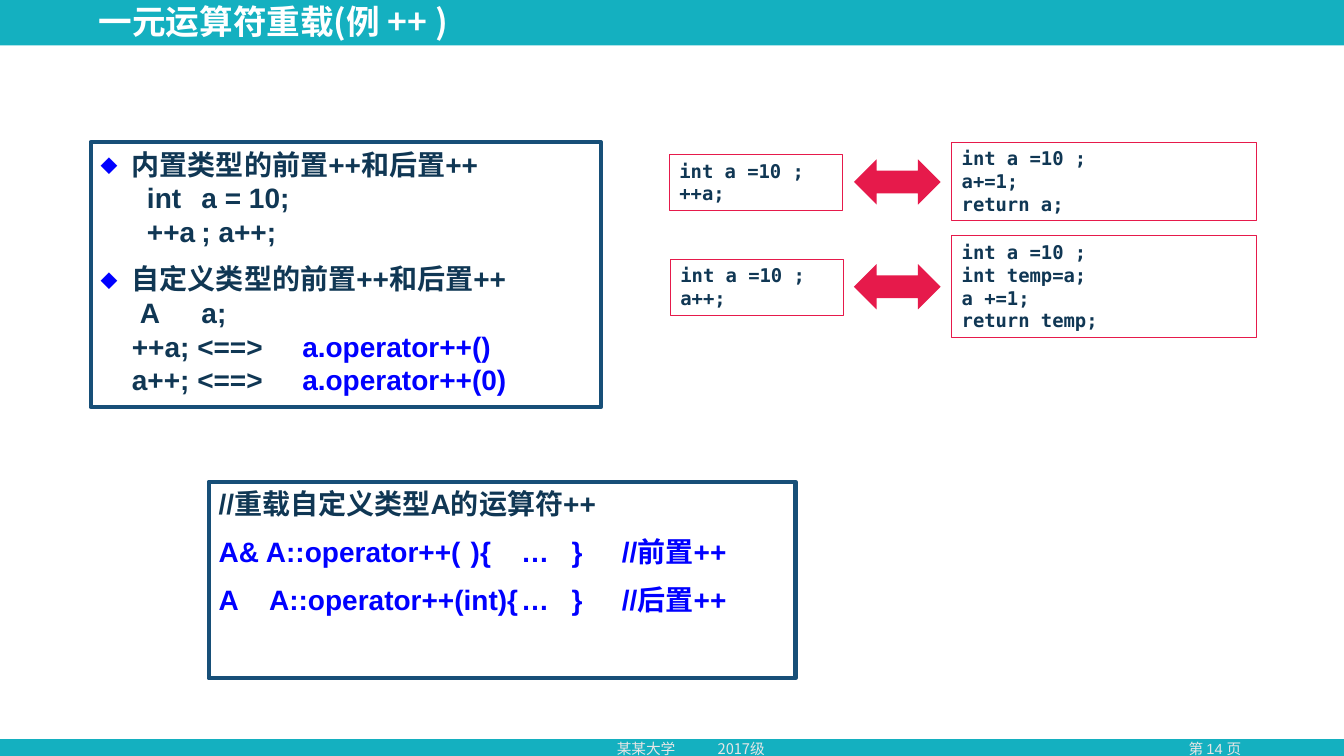
"""Build a slide on overloading the unary ++ operator."""
from lxml import etree
from pptx import Presentation
from pptx.dml.color import RGBColor
from pptx.enum.shapes import MSO_SHAPE
from pptx.enum.text import MSO_ANCHOR, PP_ALIGN
from pptx.oxml.ns import qn
from pptx.util import Inches, Pt

RECTANGLE, ARROW = MSO_SHAPE.RECTANGLE, MSO_SHAPE.LEFT_RIGHT_ARROW
TOP, MIDDLE = MSO_ANCHOR.TOP, MSO_ANCHOR.MIDDLE
LEFT, CENTER = PP_ALIGN.LEFT, PP_ALIGN.CENTER

THEME = {
    "teal": "14B0C0", "white": "FFFFFF", "gray": "E7E6E6", "navy": "103754",
    "frame": "174F78", "blue": "0000FF", "red": "E61A4B",
    "sans": "Arial", "mono": "DejaVu Sans Mono", "cjk": "Noto Sans CJK SC",
    "title": {"size": Pt(24), "bold": True, "name": "Noto Sans CJK SC"},
    "body": {"size": Pt(20), "bold": True, "name": "Arial"},
    "code": {"size": Pt(13.5), "bold": True, "name": "DejaVu Sans Mono"},
    "footer": {"size": Pt(10.5), "bold": False, "name": "Noto Sans CJK SC"},
    "page": {"size": Pt(10.5), "bold": False, "name": "Arial"},
}

deck = Presentation()
deck.slide_width, deck.slide_height = Inches(13.33), Inches(7.5)
slide = deck.slides.add_slide(deck.slide_layouts[6])


def add_box(place, fill=None, line=None, weight=0.75, kind=RECTANGLE):
    box = slide.shapes.add_shape(kind, *map(Inches, place))
    box.shadow.inherit = False
    if fill:
        box.fill.solid()
        box.fill.fore_color.rgb = RGBColor.from_string(THEME[fill])
    else:
        box.fill.background()
    if line:
        box.line.color.rgb = RGBColor.from_string(THEME[line])
        box.line.width = Pt(weight)
    else:
        box.line.fill.background()
    return box


def write(box, lines, style, anchor=TOP, **paragraph_format):
    frame = box.text_frame
    frame.word_wrap = True
    frame.vertical_anchor = anchor
    for number, line in enumerate(lines):
        para = frame.add_paragraph() if number else frame.paragraphs[0]
        settings = {"alignment": LEFT, "space_before": Pt(line.get("before", 0))}
        for name, value in {**settings, **paragraph_format}.items():
            setattr(para, name, value)
        properties = para._p.get_or_add_pPr()
        hanging = Inches(0.31) if line.get("bullet") else 0
        properties.set("marL", str(hanging))
        properties.set("indent", str(-hanging or Inches(line.get("indent", 0))))
        if hanging:
            color = etree.SubElement(properties, qn("a:buClr"))
            etree.SubElement(color, qn("a:srgbClr"), val=THEME["blue"])
            etree.SubElement(properties, qn("a:buFont"), typeface=THEME["mono"])
            etree.SubElement(properties, qn("a:buChar"), char="◆")
        if "tabs" in line:
            stops = etree.SubElement(properties, qn("a:tabLst"))
            for stop in line["tabs"]:
                etree.SubElement(stops, qn("a:tab"), pos=str(Inches(stop)), algn="l")
        for text, color in line["spans"]:
            span = para.add_run()
            span.text = text
            for name, value in THEME[style].items():
                setattr(span.font, name, value)
            span.font.color.rgb = RGBColor.from_string(THEME[color])
            etree.SubElement(span._r.get_or_add_rPr(), qn("a:ea"), typeface=THEME["cjk"])


add_box((0, 0, 13.33, 7.5), "teal")
add_box((0, 0.45, 13.33, 6.88), "white")

page_box = slide.shapes.add_textbox(*map(Inches, (11.32, 7.29, 1.46, 0.28)))
write(page_box, [{"spans": [("第 14 页", "gray")]}], "page", alignment=CENTER)
footer_box = slide.shapes.add_textbox(*map(Inches, (6.02, 7.29, 1.84, 0.28)))
write(footer_box, [{"tabs": [0.77], "spans": [("某某大学\t2017级", "gray")]}], "footer")
title_box = slide.shapes.add_textbox(*map(Inches, (0.88, 0.04, 7.68, 0.39)))
title_box.text_frame.margin_top = title_box.text_frame.margin_bottom = 0
write(title_box, [{"spans": [("一元运算符重载(例 ++ )", "white")]}], "title", MIDDLE,
      line_spacing=0.9)

usage_lines = [
    {"bullet": True, "spans": [("内置类型的前置++和后置++", "navy")]},
    {"indent": 0.46, "tabs": [0.89], "spans": [("int\ta = 10;", "navy")]},
    {"indent": 0.46, "tabs": [1.1], "spans": [("++a\t; a++;", "navy")]},
    {"bullet": True, "before": 10, "spans": [("自定义类型的前置++和后置++", "navy")]},
    {"indent": 0.39, "tabs": [0.73], "spans": [("A\ta;", "navy")]},
]
for left_side, call in (("++a", "a.operator++()"), ("a++", "a.operator++(0)")):
    usage_lines.append({"indent": 0.31, "tabs": [1.84],
                        "spans": [(f"{left_side}; <==>\t", "navy"), (call, "blue")]})
write(add_box((0.9, 1.41, 5.06, 2.63), line="frame", weight=3), usage_lines, "body")

overload_lines = [
    {"spans": [("//重载自定义类型A的运算符++", "navy")]},
    {"before": 10, "tabs": [2.78, 3.15, 3.57, 3.83],
     "spans": [("A& A::operator++(\t){\t…\t}\t//前置++", "blue")]},
    {"before": 10, "tabs": [0.49, 3.12, 3.54, 3.8],
     "spans": [("A\tA::operator++(int){\t…\t}\t//后置++", "blue")]},
]
write(add_box((2.07, 4.78, 5.82, 1.95), line="frame", weight=3), overload_lines, "body")

code_boxes = [
    ((6.64, 1.53, 1.72, 0.56), ["++a;"]),
    ((9.44, 2.34, 3.02, 1.01), ["int temp=a;", "a +=1;", "return temp;"]),
    ((6.65, 2.57, 1.72, 0.56), ["a++;"]),
    ((9.44, 1.41, 3.02, 0.78), ["a+=1;", "return a;"]),
]
for place, statements in code_boxes:
    code_lines = [{"spans": [(text, "navy")]} for text in ["int a =10 ;", *statements]]
    write(add_box(place, "white", "red"), code_lines, "code")

for arrow_top in (1.58, 2.62):
    add_box((8.47, arrow_top, 0.86, 0.45), "red", kind=ARROW)

deck.save("out.pptx")
